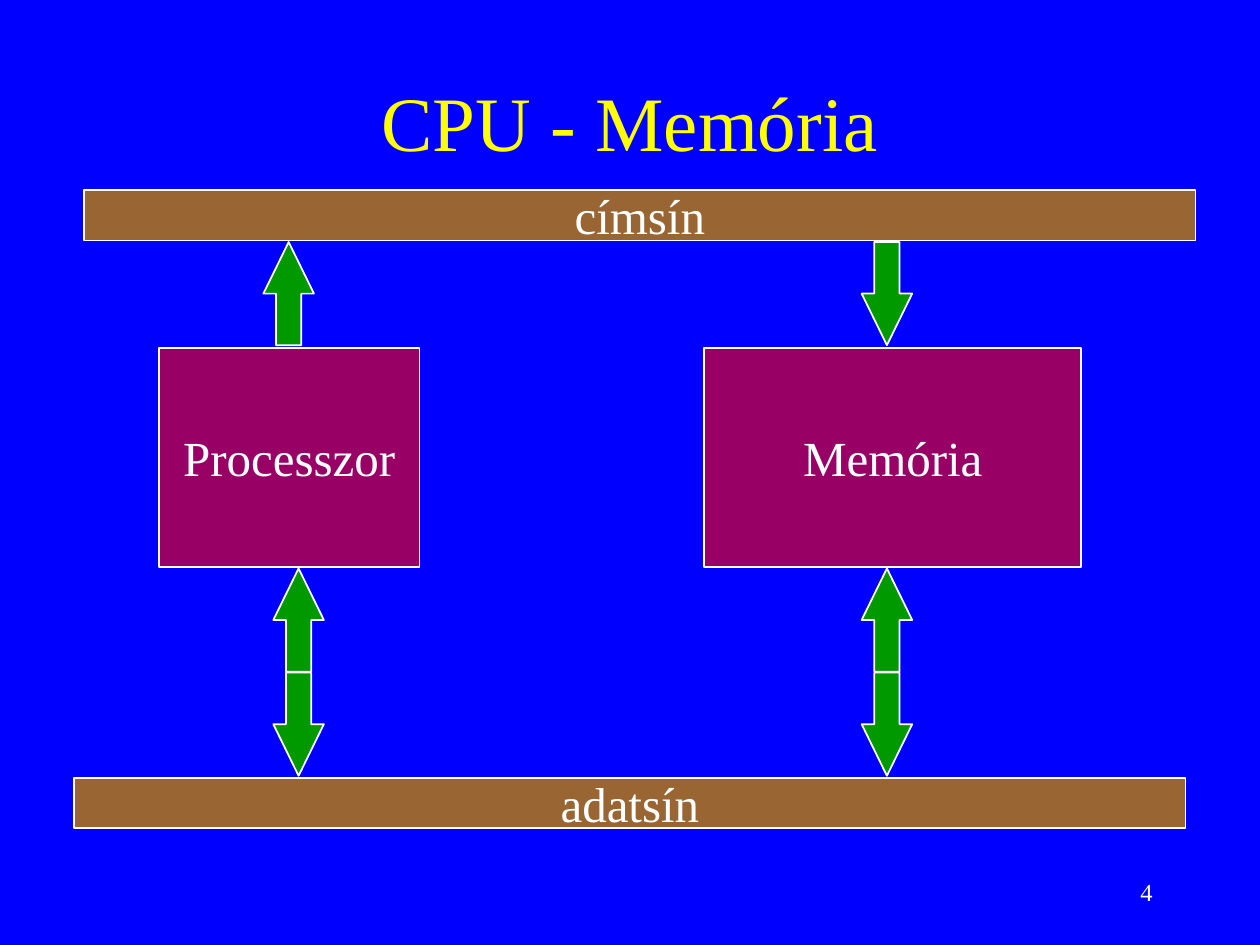
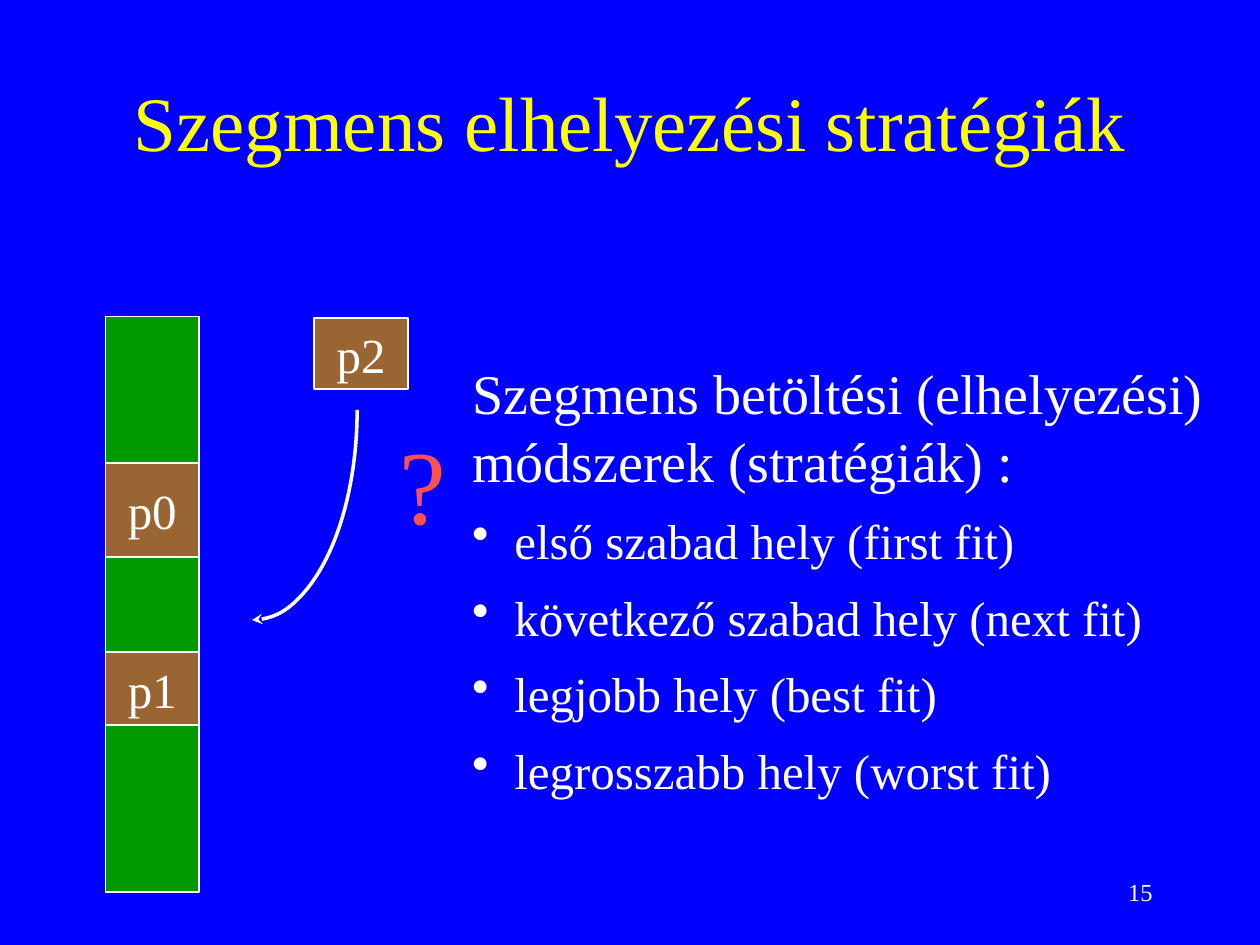
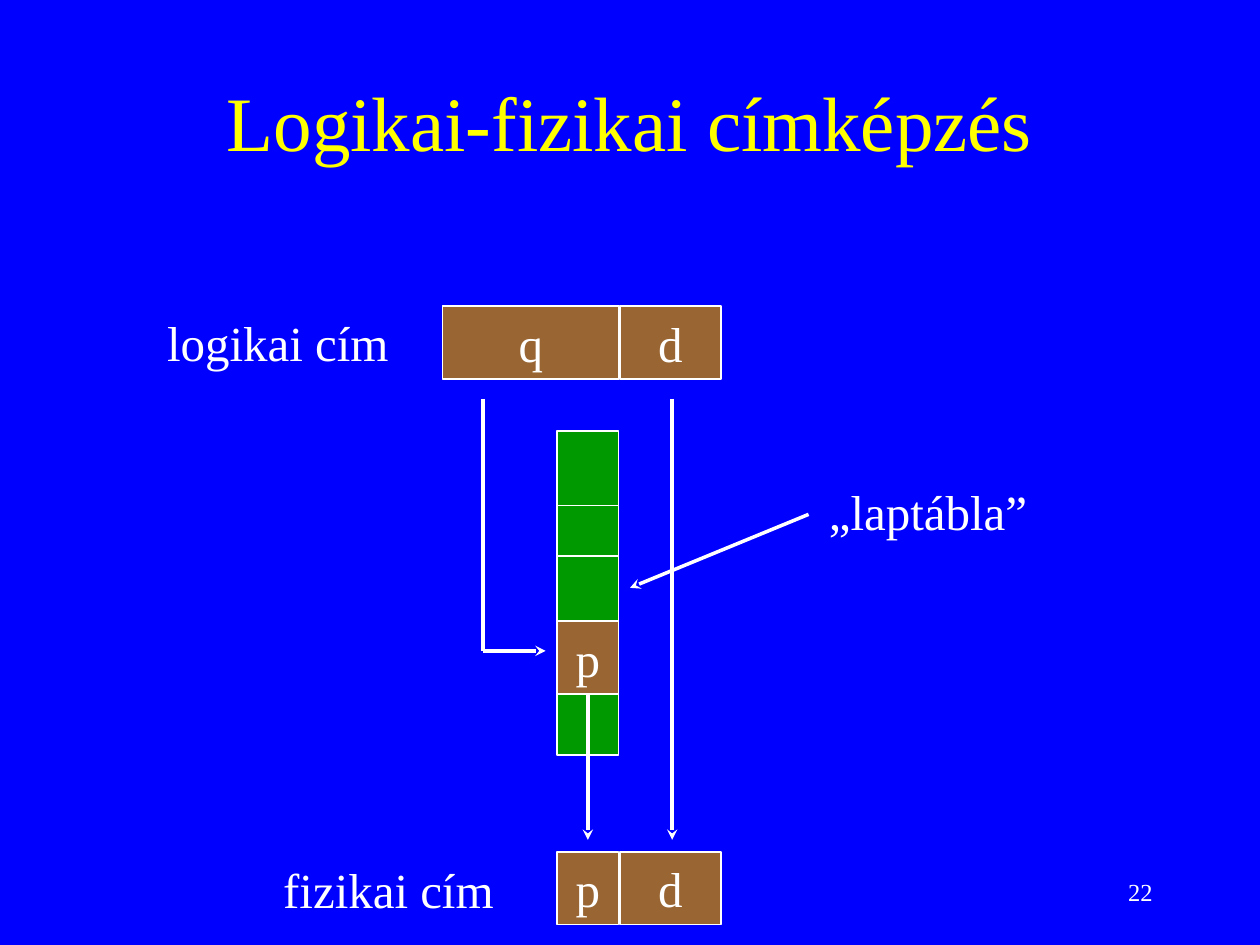
"""Builds three slides on memory management: buses, segment placement and address mapping."""
from dataclasses import dataclass

from lxml import etree
from pptx import Presentation
from pptx.dml.color import RGBColor
from pptx.enum.shapes import MSO_CONNECTOR, MSO_SHAPE
from pptx.enum.text import MSO_ANCHOR, MSO_AUTO_SIZE, PP_ALIGN
from pptx.oxml.ns import qn
from pptx.util import Cm, Pt

RECT, ARC = MSO_SHAPE.RECTANGLE, MSO_SHAPE.ARC
UP, DOWN = MSO_SHAPE.UP_ARROW, MSO_SHAPE.DOWN_ARROW
STRAIGHT = MSO_CONNECTOR.STRAIGHT
LEFT, CENTER, RIGHT = PP_ALIGN.LEFT, PP_ALIGN.CENTER, PP_ALIGN.RIGHT
TOP, MIDDLE = MSO_ANCHOR.TOP, MSO_ANCHOR.MIDDLE
NO_FIT = MSO_AUTO_SIZE.NONE


@dataclass(frozen=True)
class Theme:
    font: str = "Times New Roman"
    back: RGBColor = RGBColor(0x00, 0x00, 0xFF)
    title: RGBColor = RGBColor(0xFF, 0xFF, 0x00)
    text: RGBColor = RGBColor(0xFF, 0xFF, 0xFF)
    unit: RGBColor = RGBColor(0x99, 0x00, 0x66)
    used: RGBColor = RGBColor(0x99, 0x66, 0x33)
    free: RGBColor = RGBColor(0x00, 0x99, 0x00)
    question: RGBColor = RGBColor(0xFF, 0x50, 0x50)
    title_size: int = 44
    lead_size: int = 32
    body_size: int = 28
    number_size: int = 14
    question_size: int = 60
    thin: int = 1
    thick: int = 2


T = Theme()


def write(tf, text, size=T.body_size, color=T.text, align=LEFT, anchor=TOP, wrap=False):
    """Fill a text frame, one paragraph for each line."""
    tf.word_wrap, tf.auto_size, tf.vertical_anchor = wrap, NO_FIT, anchor
    for i, words in enumerate(text.split("\n")):
        p = tf.paragraphs[0] if i == 0 else tf.add_paragraph()
        p.alignment = align
        r = p.add_run()
        r.text = words
        r.font.name, r.font.size, r.font.color.rgb = T.font, Pt(size), color


def draw(s, kind, x, y, w, h, fill, text=""):
    """Add an outlined shape with an optional centred label."""
    sp = s.shapes.add_shape(kind, Cm(x), Cm(y), Cm(w), Cm(h))
    sp.shadow.inherit = False
    sp.fill.solid()
    sp.fill.fore_color.rgb = fill
    sp.line.color.rgb, sp.line.width = T.text, Pt(T.thin)
    if text:
        write(sp.text_frame, text, align=CENTER, anchor=MIDDLE)
    return sp


prs = Presentation()
prs.slide_width, prs.slide_height = Cm(25.4), Cm(19.05)
prs.slide_master.background.fill.solid()
prs.slide_master.background.fill.fore_color.rgb = T.back

slides = []
for title, number in (
    ("CPU - Memória", "4"),
    ("Szegmens elhelyezési stratégiák", "15"),
    ("Logikai-fizikai címképzés", "22"),
):
    s = prs.slides.add_slide(prs.slide_layouts[5])
    sp = s.shapes.title
    sp.left, sp.top, sp.width, sp.height = Cm(1.9), Cm(0.84), Cm(21.6), Cm(3.18)
    write(sp.text_frame, title, T.title_size, T.title, CENTER, MIDDLE, True)
    sp = s.shapes.add_textbox(Cm(18.21), Cm(17.35), Cm(5.28), Cm(1.27))
    write(sp.text_frame, number, T.number_size, align=RIGHT, anchor=MIDDLE, wrap=True)
    slides.append(s)
buses, placement, mapping = slides
arrows = []

for x, y, w, h, fill, text in (
    (3.2, 7.01, 5.26, 4.42, T.unit, "Processzor"),
    (14.2, 7.01, 7.6, 4.42, T.unit, "Memória"),
    (1.7, 3.83, 22.4, 1.02, T.used, "címsín"),
    (1.5, 15.68, 22.4, 1.02, T.used, "adatsín"),
):
    draw(buses, RECT, x, y, w, h, fill, text)
for kind, x, y in (
    (UP, 5.31, 4.88), (DOWN, 17.37, 4.88),
    (UP, 5.51, 11.46), (UP, 17.37, 11.46),
    (DOWN, 5.51, 13.56), (DOWN, 17.37, 13.56),
):
    sp = draw(buses, kind, x, y, 1.02, 2.08, T.free)
    sp.adjustments[1] = 1.02

for x, y, w, h, fill, text in (
    (2.13, 6.38, 1.88, 11.6, T.free, ""),
    (2.13, 9.33, 1.88, 1.9, T.used, "p0"),
    (2.13, 13.15, 1.88, 1.47, T.used, "p1"),
    (6.33, 6.41, 1.9, 1.44, T.used, "p2"),
):
    draw(placement, RECT, x, y, w, h, fill, text)
arc = draw(placement, ARC, 2.96, 4.03, 4.24, 8.47, T.back)
arc.fill.background()
arc.line.width = Pt(T.thick)
arc.adjustments[0], arc.adjustments[1] = 0, 54
arrows.append((arc, "a:tailEnd"))

sp = placement.shapes.add_textbox(Cm(7.8), Cm(8.33), Cm(1.45), Cm(2.8))
write(sp.text_frame, "?", T.question_size, T.question)
sp = placement.shapes.add_textbox(Cm(9.27), Cm(7.11), Cm(15.54), Cm(9.12))
tf = sp.text_frame
write(tf, "Szegmens betöltési (elhelyezési)\nmódszerek (stratégiák) :", T.lead_size)
for method in (
    "első szabad hely (first fit)",
    "következő szabad hely (next fit)",
    "legjobb hely (best fit)",
    "legrosszabb hely (worst fit)",
):
    p = tf.add_paragraph()
    pPr = p._p.get_or_add_pPr()
    pPr.set("marL", str(Cm(0.85)))
    pPr.set("indent", str(-Cm(0.85)))
    etree.SubElement(pPr, qn("a:buChar")).set("char", "•")
    p.line_spacing = 1.3
    r = p.add_run()
    r.text = method
    r.font.name, r.font.size, r.font.color.rgb = T.font, Pt(T.body_size), T.text

for x, y, w, h, fill, text in (
    (8.92, 6.17, 3.56, 1.47, T.used, "q"),
    (12.5, 6.17, 2.03, 1.47, T.used, "d"),
    (11.23, 17.17, 1.24, 1.47, T.used, "p"),
    (12.5, 17.17, 2.03, 1.47, T.used, "d"),
    (11.23, 8.69, 1.24, 6.53, T.free, ""),
    (11.23, 10.19, 1.24, 1.02, T.free, ""),
    (11.23, 12.52, 1.24, 1.47, T.used, "p"),
):
    page = draw(mapping, RECT, x, y, w, h, fill, text)
for x, y, w, text in (
    (3.12, 6.17, 4.98, "logikai cím"),
    (5.46, 17.2, 4.75, "fizikai cím"),
    (16.46, 9.58, 4.52, "„laptábla”"),
):
    sp = mapping.shapes.add_textbox(Cm(x), Cm(y), Cm(w), Cm(1.45))
    write(sp.text_frame, text)
for x1, y1, x2, y2, end in (
    (9.74, 8.04, 9.74, 13.12, ""),
    (9.74, 13.12, 11, 13.12, "a:tailEnd"),
    (13.55, 8.04, 13.55, 16.93, "a:tailEnd"),
    (12.7, 11.85, 16.3, 10.37, "a:headEnd"),
    (11.85, 13.99, 11.85, 16.93, "a:tailEnd"),
):
    line = mapping.shapes.add_connector(STRAIGHT, Cm(x1), Cm(y1), Cm(x2), Cm(y2))
    line.line.color.rgb, line.line.width = T.text, Pt(T.thick)
    etree.SubElement(line._element.spPr, qn("a:effectLst"))
    if end:
        arrows.append((line, end))
line.begin_connect(page, 2)

for sp, end in arrows:
    ln = sp._element.spPr.find(qn("a:ln"))
    etree.SubElement(ln, qn(end)).set("type", "stealth")

prs.save("out.pptx")
